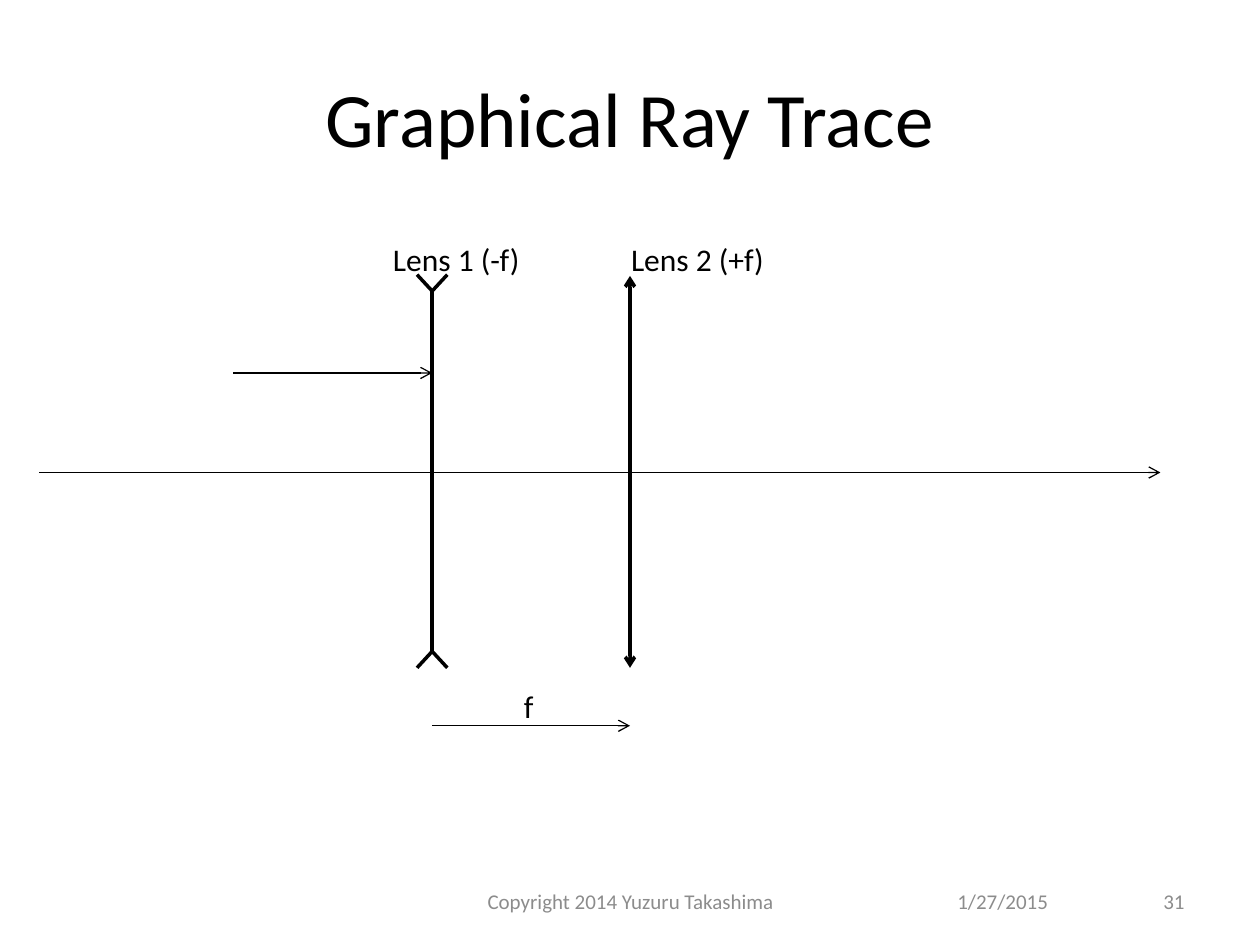
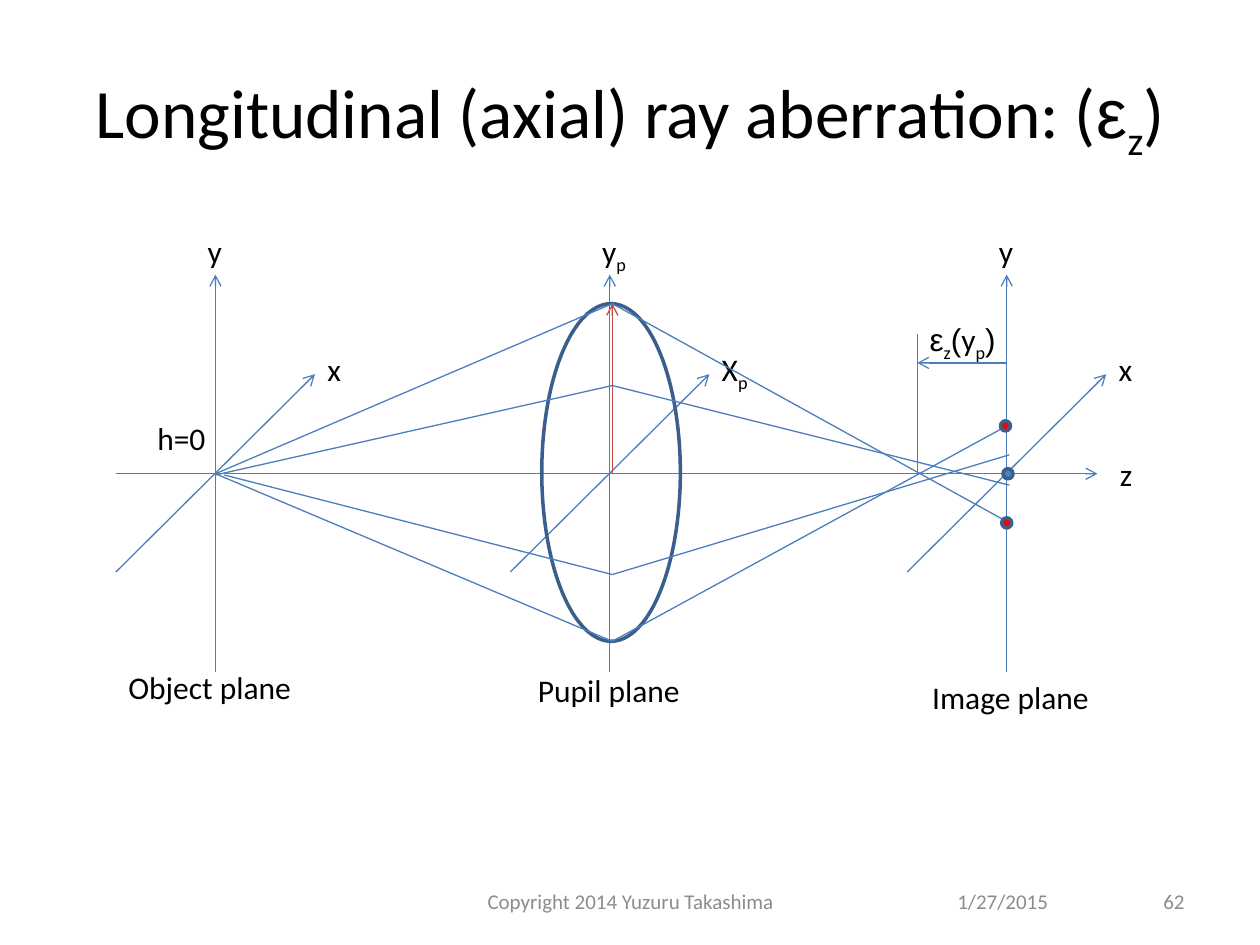
from dataclasses import dataclass

from lxml.etree import SubElement
from pptx import Presentation
from pptx.dml.color import RGBColor
from pptx.enum.shapes import MSO_CONNECTOR, MSO_SHAPE
from pptx.enum.text import MSO_ANCHOR, MSO_AUTO_SIZE, PP_ALIGN
from pptx.oxml.ns import qn
from pptx.util import Pt

PX = 9144  # EMU in one px, 100 px to the inch


@dataclass(frozen=True)
class Theme:
    font: str = "Calibri"
    greek: str = "Arial"
    ink: str = "000000"
    grey: str = "8C8C8C"
    blue: str = "4B7EBC"
    edge: str = "3A5F8C"
    core: str = "4F81BD"
    brick: str = "BF4C48"
    red: str = "FF0000"
    head: float = 44
    long: float = 39.6
    label: float = 18
    small: float = 12
    thin: float = 0.75
    bold: float = 2


T = Theme()
LEFT, MID, RIGHT = PP_ALIGN.LEFT, PP_ALIGN.CENTER, PP_ALIGN.RIGHT

# Shared footer: text, left, width, alignment
FOOT = [
    ("1/27/2015", 750, 233, LEFT),
    ("Copyright 2014 Yuzuru Takashima", 342, 317, MID),
]
PAGE = (717, 233, RIGHT)

# A run is (text, kind): "" plain, "g" Greek font, "s" subscript
# Ray trace: lenses, arrows, labels
LENS1, LENS2, AXIS = 343, 500, 375
TRACE = [
    ((31, AXIS), (921, AXIS)),
    ((LENS1, 576), (LENS2, 576)),
    ((185, 296), (LENS1, 296)),
]
NAMES = [
    ("Lens 1 (-f)", 302, 186, 135),
    ("Lens 2 (+f)", 491, 186, 142),
    ("f", 406, 540, 27),
]

# Aberration: planes are x, name, name left, name top, name width,
# y label, x label
LONG = [("Longitudinal (axial) ray aberration: (", ""), ("ε", "g"),
        ("z", "s"), (")", "")]
PLANES = [
    (171, "Object plane", 92, 525, 151, "y", "x"),
    (484, "Pupil plane", 417, 528, 134,
     [("y", ""), ("p", "s")], [("X", ""), ("p", "s")]),
    (799, "Image plane", 730, 533, 146, "y", "x"),
]
NOTES = [
    ("z", 879, 356, 30),
    ("h=0", 115, 328, 59),
    ([("ε", "g"), ("z", "s"), ("(", "g"), ("y", ""), ("p", "s"),
      (")", "g")], 728, 249, 94),
]
OBJ, PUPIL, IMAGE, ZAXIS = 171, 486, 801, 376
TOP, BASE, FOCUS = 241, 509, 728
# Rays: start, height at the pupil, height at the image
RAYS = [
    ((OBJ, ZAXIS), TOP, 415),
    ((OBJ, ZAXIS), BASE, 337),
    ((OBJ, 377), 306, 385),
    ((178, 377), 456, 361),
]
# Dots: left, top, fill
DOTS = [(796, 372, T.core), (794, 334, T.red), (795, 411, T.red)]


def style(font, size, hue):
    font.size, font.name = Pt(size), T.font
    font.color.rgb = RGBColor.from_string(hue)


def write(par, text, size, hue=T.ink):
    """Fill a paragraph with a plain string or a list of runs."""
    if isinstance(text, str):
        par.add_run().text = text
        style(par.font, size, hue)
        return
    for part, kind in text:
        run = par.add_run()
        run.text = part
        style(run.font, size, hue)
        if kind == "g":
            run.font.name = T.greek
        elif kind == "s":
            run.font._element.set("baseline", "-25000")


def label(page, text, left, top, wide):
    box = page.shapes.add_textbox(left * PX, top * PX, wide * PX, 40 * PX)
    box.text_frame.word_wrap = False
    box.text_frame.auto_size = MSO_AUTO_SIZE.SHAPE_TO_FIT_TEXT
    write(box.text_frame.paragraphs[0], text, T.label)


def line(page, start, end, hue, wide=T.thin, ends=()):
    ends_px = [v * PX for v in (*start, *end)]
    link = page.shapes.add_connector(MSO_CONNECTOR.STRAIGHT, *ends_px)
    link.line.color.rgb = RGBColor.from_string(hue)
    link.line.width = Pt(wide)
    props = link._element.spPr
    for end_tag in ends:
        SubElement(props.find(qn("a:ln")), qn("a:" + end_tag), type="arrow")
    SubElement(props, qn("a:effectLst"))


def arrow(page, start, end, hue):
    line(page, start, end, hue, ends=["tailEnd"])


def oval(page, left, top, wide, high, fill=None):
    box = [v * PX for v in (left, top, wide, high)]
    shape = page.shapes.add_shape(MSO_SHAPE.OVAL, *box)
    shape.shadow.inherit = False
    shape.line.color.rgb = RGBColor.from_string(T.edge)
    shape.line.width = Pt(T.bold)
    if fill:
        shape.fill.solid()
        shape.fill.fore_color.rgb = RGBColor.from_string(fill)
    else:
        shape.fill.background()


def begin(deck, title, size, number):
    """Add a slide with its title and footer."""
    page = deck.slides.add_slide(deck.slide_layouts[5])
    head = page.shapes.title
    head.left, head.top, head.width, head.height = (
        v * PX for v in (50, 30, 900, 125))
    head.text_frame.vertical_anchor = MSO_ANCHOR.MIDDLE
    par = head.text_frame.paragraphs[0]
    par.alignment = MID
    write(par, title, size)
    for text, left, wide, side in [*FOOT, (number, *PAGE)]:
        box = page.shapes.add_textbox(left * PX, 695 * PX, wide * PX, 40 * PX)
        box.text_frame.word_wrap = True
        box.text_frame.vertical_anchor = MSO_ANCHOR.MIDDLE
        par = box.text_frame.paragraphs[0]
        par.alignment = side
        write(par, text, T.small, T.grey)
    return page


def trace(deck):
    page = begin(deck, "Graphical Ray Trace", T.head, "31")
    # Lenses
    line(page, (LENS1, 229), (LENS1, 517), T.ink, T.bold)
    line(page, (LENS2, 219), (LENS2, 530), T.ink, T.bold,
         ["headEnd", "tailEnd"])
    for tip, far in [(517, 530), (231, 218)]:
        for side in (-12, 12):
            line(page, (LENS1, tip), (LENS1 + side, far), T.ink, T.bold)
    # Axis, ray and spacing
    for start, end in TRACE:
        arrow(page, start, end, T.ink)
    for item in NAMES:
        label(page, *item)


def axial(deck):
    page = begin(deck, LONG, T.long, "62")
    # Axes and plane names
    arrow(page, (92, ZAXIS), (871, ZAXIS), T.blue)
    for x, name, left, top, wide, up, out in PLANES:
        arrow(page, (x - 79, 454), (x + 79, 297), T.blue)
        arrow(page, (x, 533), (x, 218), T.blue)
        label(page, up, x - 16, 179, 32 if up == "y" else 40)
        label(page, out, x + 79, 273, 31 if out == "x" else 44)
        label(page, name, left, top, wide)
    # Pupil and rays
    oval(page, 430, TOP, 110, BASE - TOP)
    arrow(page, (PUPIL, 375), (PUPIL, TOP), T.brick)
    for start, mid, end in RAYS:
        line(page, start, (PUPIL, mid), T.blue)
        line(page, (PUPIL, mid), (IMAGE, end), T.blue)
    for left, top, fill in DOTS:
        oval(page, left, top, 8, 8, fill)
    # Aberration length
    line(page, (FOCUS, 375), (FOCUS, 265), T.blue)
    arrow(page, (799, 288), (FOCUS, 288), T.blue)
    for item in NOTES:
        label(page, *item)


def main():
    deck = Presentation()
    deck.slide_width, deck.slide_height = 1000 * PX, 750 * PX
    trace(deck)
    axial(deck)
    deck.save("out.pptx")


if __name__ == "__main__":
    main()
